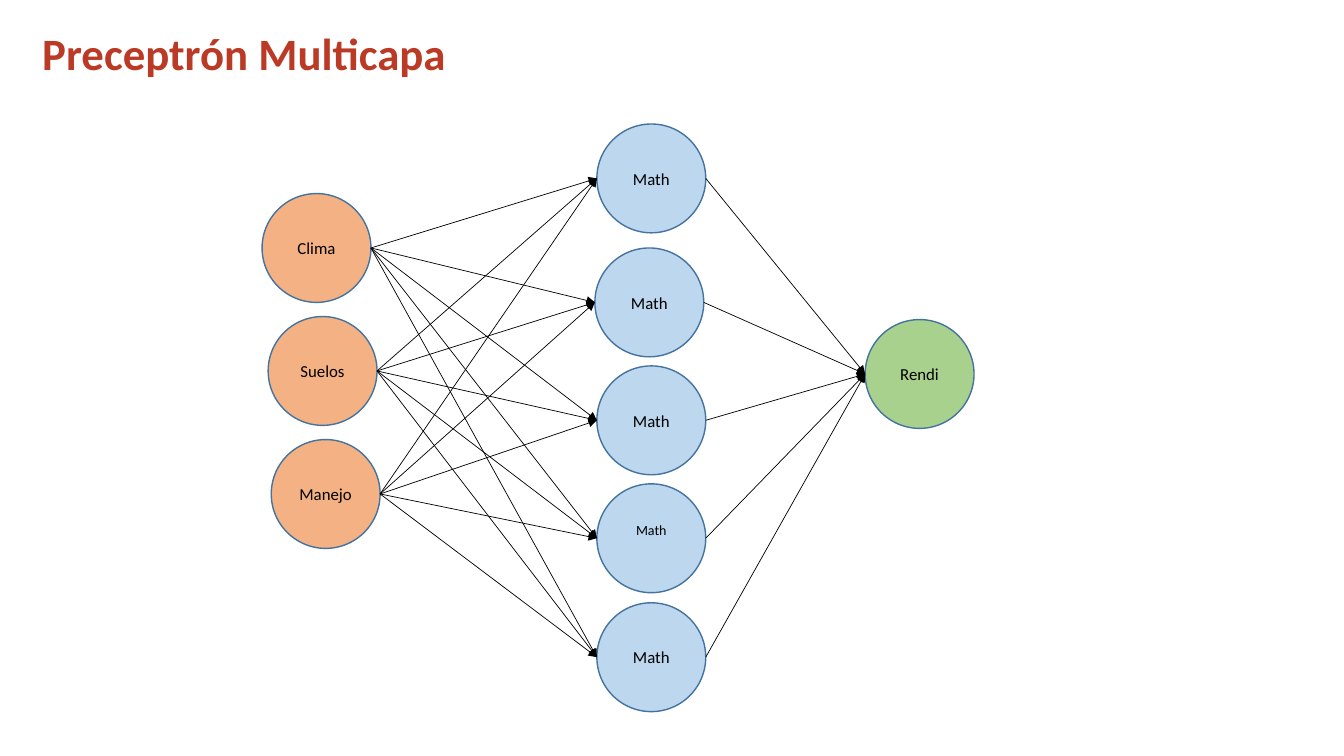
from lxml import etree
from pptx import Presentation
from pptx import util as u
from pptx.dml.color import RGBColor
from pptx.enum import shapes, text
from pptx.oxml.ns import qn

WIDTH, HEIGHT = u.Inches(13.33), u.Inches(7.5)
DIAMETER = int(HEIGHT * 0.144)
FONT = "Calibri"
COLOURS = {
    "title": "BB3A26",
    "input": "F4B183",
    "hidden": "BDD7EE",
    "output": "A9D18E",
    "outline": "43739E",
    "ink": "000000",
}
INPUT_TOP, INPUT_PITCH = 25.6, 16.27
INPUTS = [("Clima", 19.5), ("Suelos", 19.95), ("Manejo", 20.18)]
HIDDEN = [(44.41, 16.4), (44.26, 32.8), (44.41, 48.4), (44.41, 64), (44.41, 79.73)]
SMALL_NEURON = 3


def colour(name):
    return RGBColor.from_string(COLOURS[name])


def across(percent):
    return int(WIDTH * percent / 100)


def down(percent):
    return int(HEIGHT * percent / 100)


def set_font(paragraph, size, name, bold=False):
    paragraph.font.name = FONT
    paragraph.font.size = u.Pt(size)
    paragraph.font.bold = bold
    paragraph.font.color.rgb = colour(name)


def add_title(slide, wording):
    box = slide.shapes.add_textbox(across(2.4), down(4), across(95.2), down(6.8))
    frame = box.text_frame
    frame.word_wrap = True
    frame.vertical_anchor = text.MSO_ANCHOR.MIDDLE
    paragraph = frame.paragraphs[0]
    paragraph.text = wording
    paragraph.line_spacing = 0.9
    set_font(paragraph, 32, "title", bold=True)


def add_neuron(slide, label, layer, left, top, size=12):
    neuron = slide.shapes.add_shape(
        shapes.MSO_SHAPE.OVAL, across(left), down(top), DIAMETER, DIAMETER)
    neuron.shadow.inherit = False
    neuron.fill.solid()
    neuron.fill.fore_color.rgb = colour(layer)
    neuron.line.color.rgb = colour("outline")
    neuron.line.width = u.Pt(1)
    frame = neuron.text_frame
    frame.word_wrap = True
    frame.vertical_anchor = text.MSO_ANCHOR.MIDDLE
    paragraph = frame.paragraphs[0]
    paragraph.text = label
    paragraph.alignment = text.PP_ALIGN.CENTER
    set_font(paragraph, size, "ink")
    return neuron


def add_arrow(slide, source, target):
    arrow = slide.shapes.add_connector(
        shapes.MSO_CONNECTOR.STRAIGHT,
        source.left + DIAMETER, source.top + DIAMETER // 2,
        target.left, target.top + DIAMETER // 2)
    arrow.line.color.rgb = colour("ink")
    arrow.line.width = u.Pt(0.5)
    etree.SubElement(arrow.line._get_or_add_ln(), qn("a:tailEnd"), type="triangle")
    etree.SubElement(arrow._element.spPr, qn("a:effectLst"))


def connect_layers(slide, sources, targets):
    for source in sources:
        for target in targets:
            add_arrow(slide, source, target)


def main():
    presentation = Presentation()
    presentation.slide_width, presentation.slide_height = WIDTH, HEIGHT
    slide = presentation.slides.add_slide(presentation.slide_layouts[6])

    add_title(slide, "Preceptrón Multicapa")
    hidden = [
        add_neuron(slide, "Math", "hidden", left, top, 10 if row == SMALL_NEURON else 12)
        for row, (left, top) in enumerate(HIDDEN)
    ]
    hidden[SMALL_NEURON].text_frame.margin_bottom = u.Inches(0.22)
    inputs = [
        add_neuron(slide, label, "input", left, INPUT_TOP + row * INPUT_PITCH)
        for row, (label, left) in enumerate(INPUTS)
    ]
    connect_layers(slide, inputs, hidden)
    output = add_neuron(slide, "Rendi", "output", 64.37, 42.27)
    connect_layers(slide, hidden, [output])

    presentation.save("out.pptx")


if __name__ == "__main__":
    main()
